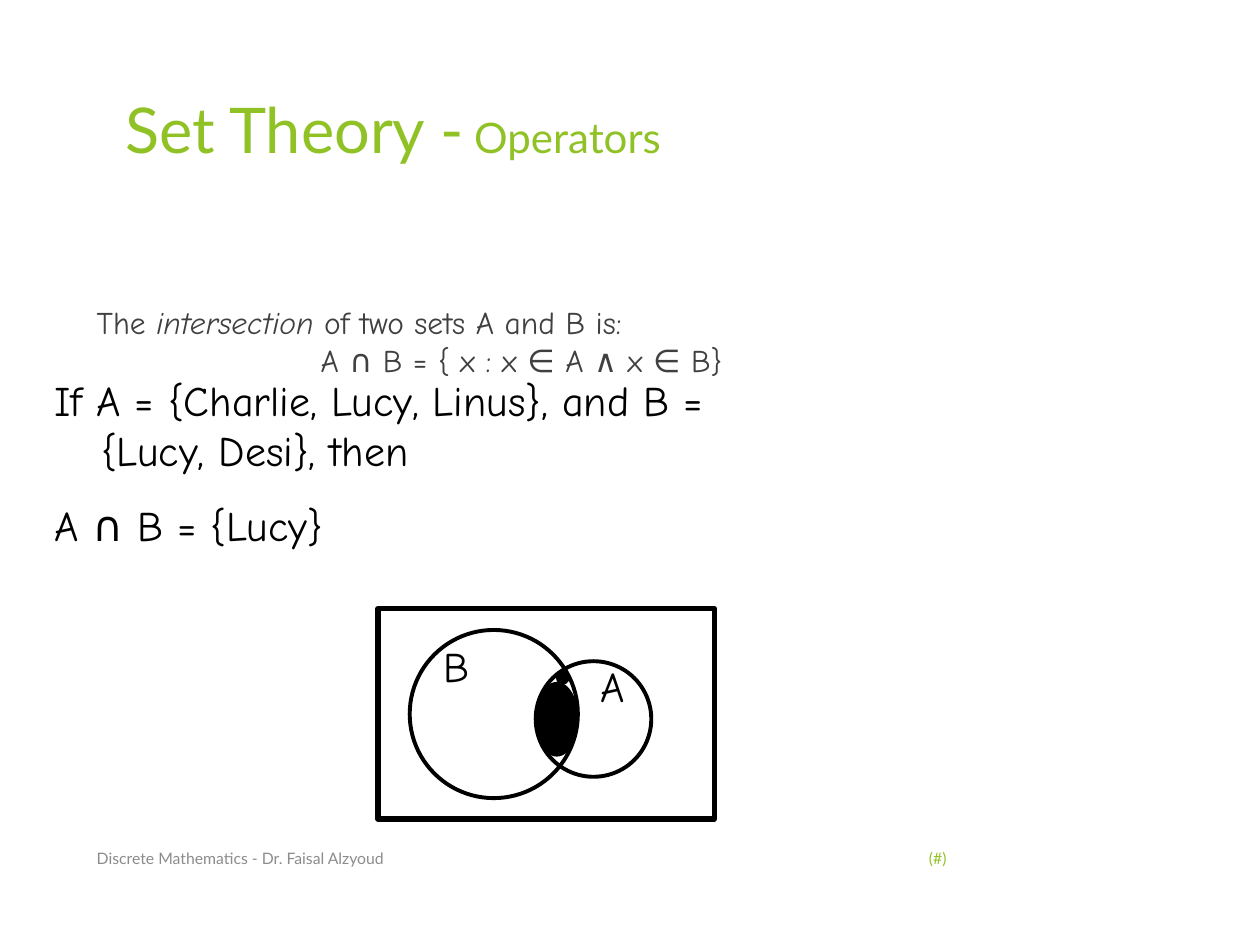
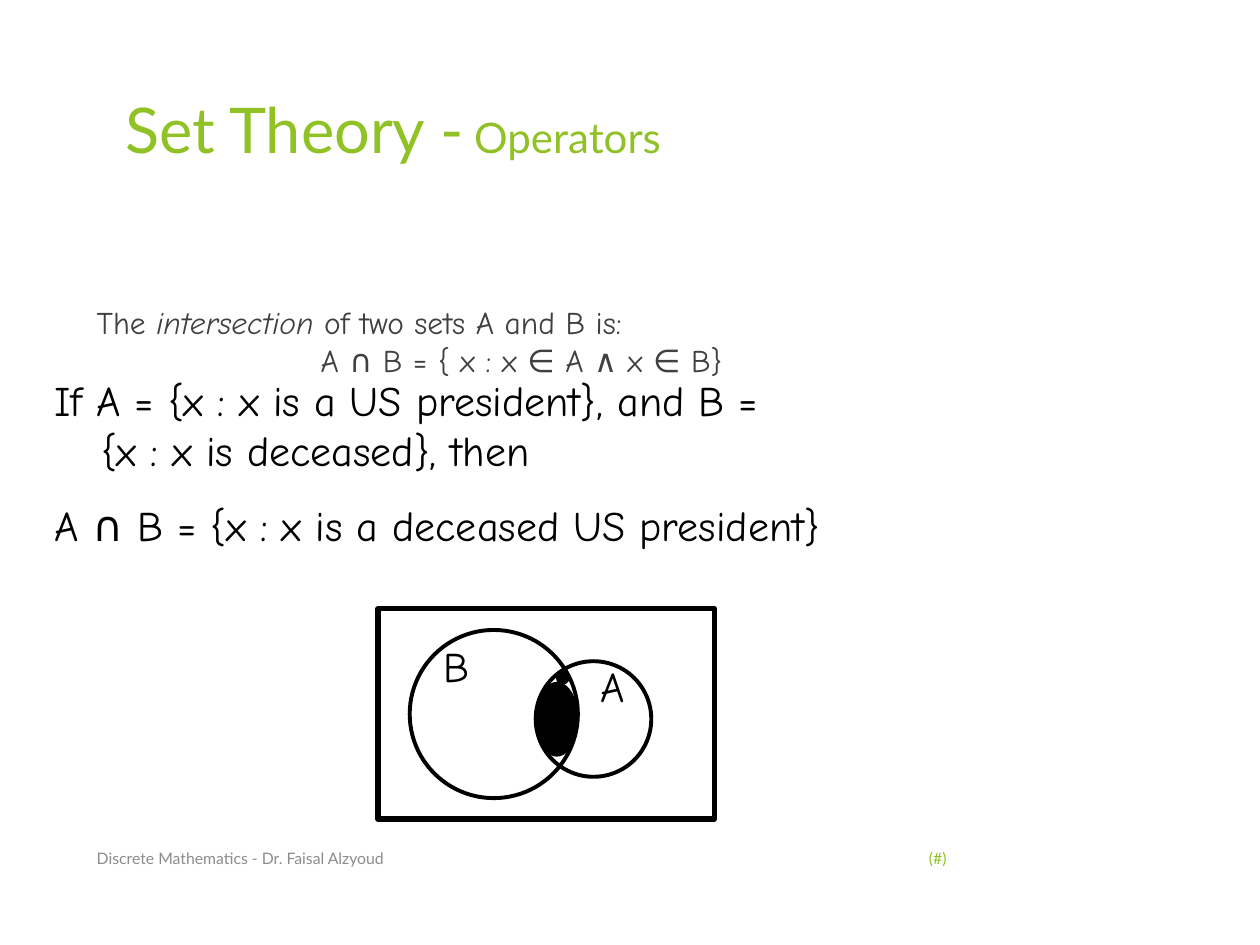
from pptx import Presentation
from pptx.dml.color import RGBColor
from pptx.enum.shapes import MSO_SHAPE
from pptx.enum.text import MSO_ANCHOR, PP_ALIGN
from pptx.util import Cm, Pt

RECTANGLE, OVAL = MSO_SHAPE.RECTANGLE, MSO_SHAPE.OVAL
TOP, MIDDLE = MSO_ANCHOR.TOP, MSO_ANCHOR.MIDDLE
LEFT, CENTER, RIGHT = PP_ALIGN.LEFT, PP_ALIGN.CENTER, PP_ALIGN.RIGHT

GREEN, DARK_GRAY, GRAY, BLACK = "90C226", "404040", "8C8C8C", "000000"
HEADING_FONT, BODY_FONT = "Lato", "Comic Neue"
HANGING_INDENT = 0.95

TITLE_BOX = (1.7, 1.7, 17.63, 3.66)
DEFINITION_BOX = (1.7, 5.99, 17.63, 10.77)
FOOTER_BOX = (1.7, 16.79, 17.63, 1.02)
EXAMPLE_BOX = (0.84, 7.42, 20.32, 3.99)
VENN_BOX = (7.62, 12.27, 6.78, 4.24)

DOT_SIZE = 0.25
DOTS = [(3.6, 2.12), (3.39, 2.54), (3.6, 1.27), (3.39, 1.69), (3.39, 2.1)]

EXAMPLES = [
    ("If A = {Charlie, Lucy, Linus}, and B = {Lucy, Desi}, then", 13.97,
     "A ∩ B = {Lucy}"),
    ("If A = {x : x is a US president}, and B = {x : x is deceased}, then", 14.81,
     "A ∩ B = {x : x is a deceased US president}"),
]


def color(hex_string):
    """Turn a hex string into a colour."""
    return RGBColor.from_string(hex_string)


def style(paragraph, font_name, size, hex_string, alignment=LEFT):
    """Set the font and alignment of a paragraph."""
    paragraph.alignment = alignment
    paragraph.font.name = font_name
    paragraph.font.size = Pt(size)
    paragraph.font.color.rgb = color(hex_string)


def add_text_frame(slide, box, anchor=TOP):
    """Add a wrapping text box and return its frame."""
    frame = slide.shapes.add_textbox(*map(Cm, box)).text_frame
    frame.word_wrap = True
    frame.vertical_anchor = anchor
    return frame


def add_line_of_text(slide, box, text, font_name, size, hex_string,
                     alignment=LEFT, anchor=TOP):
    """Add a text box with one paragraph and return the paragraph."""
    paragraph = add_text_frame(slide, box, anchor).paragraphs[0]
    paragraph.text = text
    style(paragraph, font_name, size, hex_string, alignment)
    return paragraph


def add_outline(slide, kind, box, line_width, fill=None):
    """Add a black-lined shape, hollow unless a fill is given."""
    shape = slide.shapes.add_shape(kind, *map(Cm, box))
    shape.shadow.inherit = False
    shape.line.color.rgb = color(BLACK)
    shape.line.width = Pt(line_width)
    if fill:
        shape.fill.solid()
        shape.fill.fore_color.rgb = color(fill)
    else:
        shape.fill.background()


def add_title(slide, box):
    """Add the two-size slide title."""
    frame = add_text_frame(slide, box)
    frame.margin_left = Cm(0.83)
    paragraph = frame.paragraphs[0]
    style(paragraph, HEADING_FONT, 36, GREEN)
    for text, size in (("Set Theory -", 36), (" Operators", 24)):
        run = paragraph.add_run()
        run.text = text
        run.font.size = Pt(size)


def add_definition(slide, box):
    """Add the definition of intersection and its formula."""
    frame = add_text_frame(slide, box)
    sentence, formula = frame.paragraphs[0], frame.add_paragraph()
    for text in ("The ", "intersection", " of two sets A and B is:"):
        run = sentence.add_run()
        run.text = text
        run.font.italic = text == "intersection"
    formula.text = "A ∩ B = { x : x ∈ A ∧ x ∈ B}"
    style(sentence, BODY_FONT, 18, DARK_GRAY)
    style(formula, BODY_FONT, 18, DARK_GRAY, CENTER)


def add_footer(slide, box):
    """Add the course name at the left and the number mark at the right."""
    left, top, width, height = box
    number_width = 1.42
    add_line_of_text(slide, (left, top, 12.85, height),
                     "Discrete Mathematics - Dr. Faisal Alzyoud",
                     HEADING_FONT, 9, GRAY, anchor=MIDDLE)
    add_line_of_text(slide, (left + width - number_width, top, number_width, height),
                     "(#)", HEADING_FONT, 9, GREEN, RIGHT, MIDDLE)


def add_example(slide, box, premise, premise_width, result):
    """Add the example sets and, below them, their intersection."""
    left, top, width, height = box
    result_height = 1.47
    paragraph = add_line_of_text(slide, (left, top, premise_width, 2.34),
                                 premise, BODY_FONT, 24, BLACK)
    properties = paragraph._p.get_or_add_pPr()
    properties.set("marL", str(Cm(HANGING_INDENT)))
    properties.set("indent", str(-Cm(HANGING_INDENT)))
    add_line_of_text(slide, (left, top + height - result_height, width, result_height),
                     result, BODY_FONT, 24, BLACK)


def add_venn_diagram(slide, box):
    """Add two overlapping circles in a frame with the overlap filled."""
    left, top, width, height = box

    def inside(x, y, part_width, part_height):
        """Shift a part's box into the diagram."""
        return left + x, top + y, part_width, part_height

    def add_label(text, part_box):
        """Add the name of a set."""
        add_line_of_text(slide, inside(*part_box), text,
                         BODY_FONT, 24, BLACK).line_spacing = 0.9

    add_outline(slide, RECTANGLE, box, 3)
    add_outline(slide, OVAL, inside(0.64, 0.43, 3.39, 3.39), 2.25)
    add_label("A", (4.24, 1.03, 1.07, 1.27))
    add_outline(slide, OVAL, inside(3.18, 1.49, 0.85, 1.48), 0.75, BLACK)
    for x, y in DOTS:
        add_outline(slide, OVAL, inside(x, y, DOT_SIZE, DOT_SIZE), 0.75, BLACK)
    add_label("B", (1.07, 0.64, 1.27, 1.47))
    add_outline(slide, OVAL, inside(3.18, 1.06, 2.33, 2.33), 2.25)


def add_intersection_slide(presentation, example):
    """Add one slide that shows an intersection example."""
    slide = presentation.slides.add_slide(presentation.slide_layouts[6])
    add_title(slide, TITLE_BOX)
    add_definition(slide, DEFINITION_BOX)
    add_footer(slide, FOOTER_BOX)
    add_example(slide, EXAMPLE_BOX, *example)
    add_venn_diagram(slide, VENN_BOX)


def main():
    """Build and save the presentation."""
    presentation = Presentation()
    presentation.slide_width = Cm(25.4)
    presentation.slide_height = Cm(19.05)
    for example in EXAMPLES:
        add_intersection_slide(presentation, example)
    presentation.save("out.pptx")


if __name__ == "__main__":
    main()
